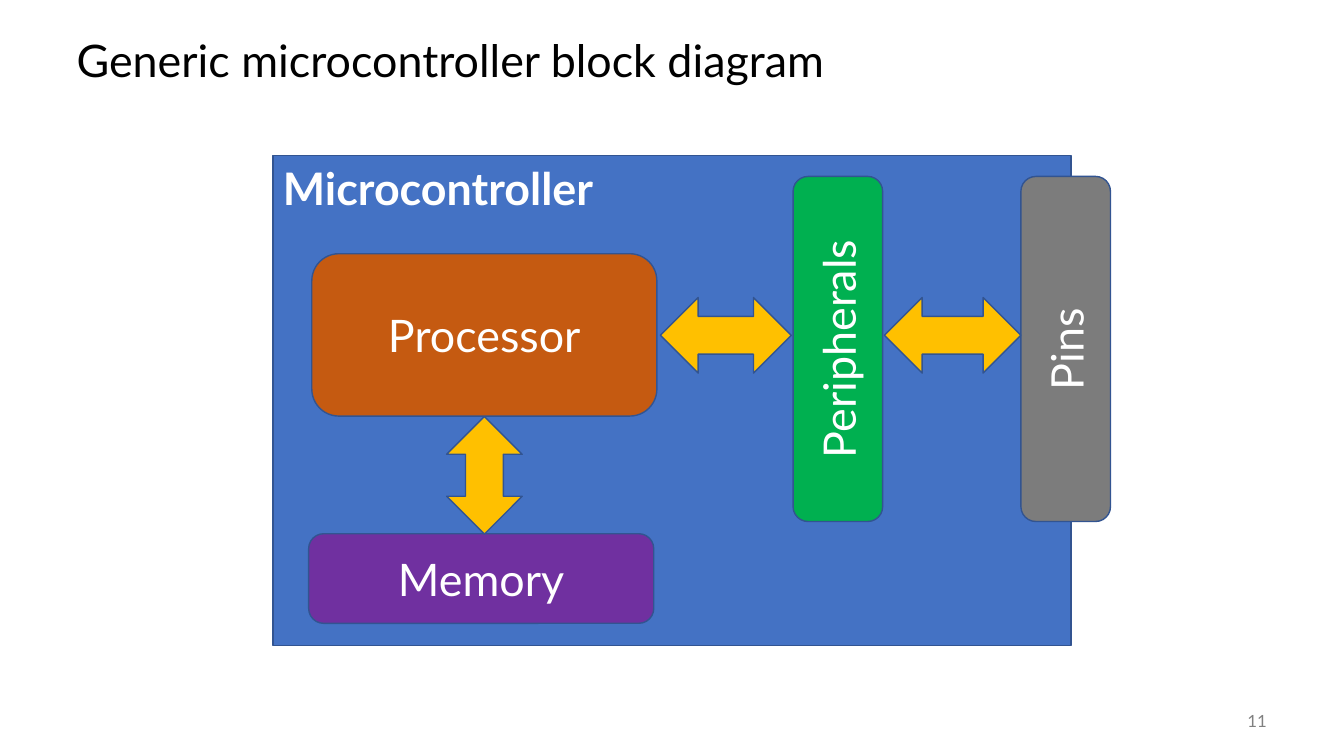
from pptx import Presentation
from pptx.util import Pt
from pptx.dml.color import RGBColor as RGB
from pptx.enum.shapes import MSO_SHAPE as Shape
from pptx.enum.text import MSO_ANCHOR as Anchor, PP_ALIGN as Align

BLACK = RGB(0x00, 0x00, 0x00)
WHITE = RGB(0xFF, 0xFF, 0xFF)
GRAY = RGB(0x80, 0x80, 0x80)
BLUE = RGB(0x44, 0x72, 0xC4)
NAVY = RGB(0x32, 0x54, 0x91)
RUST = RGB(0xC5, 0x5A, 0x11)
PURPLE = RGB(0x70, 0x30, 0xA0)
GREEN = RGB(0x00, 0xB0, 0x50)
STEEL = RGB(0x7C, 0x7C, 0x7C)
GOLD = RGB(0xFF, 0xC0, 0x00)


def write(shape, text, size, color, align, anchor=Anchor.MIDDLE):
    frame = shape.text_frame
    frame.word_wrap = True
    frame.vertical_anchor = anchor
    frame.text = text
    para = frame.paragraphs[0]
    para.alignment = align
    font = para.font
    font.name, font.size = "Lato", Pt(size)
    font.color.rgb = color
    return para


def draw(kind, left, top, width, height, color, turn=0):
    """Add a filled, outlined shape, turned by the given degrees."""
    shape = slide.shapes.add_shape(
        kind, Pt(left), Pt(top), Pt(width), Pt(height))
    shape.shadow.inherit = False
    shape.rotation = turn
    shape.fill.solid()
    shape.fill.fore_color.rgb = color
    shape.line.color.rgb = NAVY
    shape.line.width = Pt(1)
    return shape


deck = Presentation()
deck.slide_width, deck.slide_height = Pt(960), Pt(540)
slide = deck.slides.add_slide(deck.slide_layouts[5])

title = slide.shapes.title
title.left, title.top = Pt(47.5), Pt(18)
title.width, title.height = Pt(864), Pt(54)
head = write(title, "Generic microcontroller block diagram", 32, BLACK,
             Align.LEFT)
head.line_spacing = 0.9

number = slide.shapes.add_textbox(Pt(840), Pt(500.5), Pt(72), Pt(28.8))
write(number, "11", 12, GRAY, Align.RIGHT)

# Chip outline
chip = draw(Shape.RECTANGLE, 195, 111, 570, 350, BLUE)
label = write(chip, "Microcontroller", 32, WHITE, Align.LEFT, Anchor.TOP)
label.font.bold = True

# Blocks; the turned ones read upwards
blocks = [
    ("Processor", 222.75, 181.25, 116, RUST, 0),
    ("Memory", 220.5, 381.25, 64, PURPLE, 0),
    ("Peripherals", 475.25, 217.25, 64, GREEN, 270),
    ("Pins", 638, 217.25, 64, STEEL, 270),
]
for name, left, top, height, color, turn in blocks:
    block = draw(Shape.ROUNDED_RECTANGLE, left, top, 246.5, height, color,
                 turn)
    write(block, name, 32, WHITE, Align.CENTER)

# Arrows between the blocks
arrows = [(471.75, 212.5, 93.5, 0), (631.75, 212.5, 97.5, 0),
          (304, 312.5, 84, 90)]
for left, top, width, turn in arrows:
    draw(Shape.LEFT_RIGHT_ARROW, left, top, width, 54, GOLD, turn)

deck.save("out.pptx")
